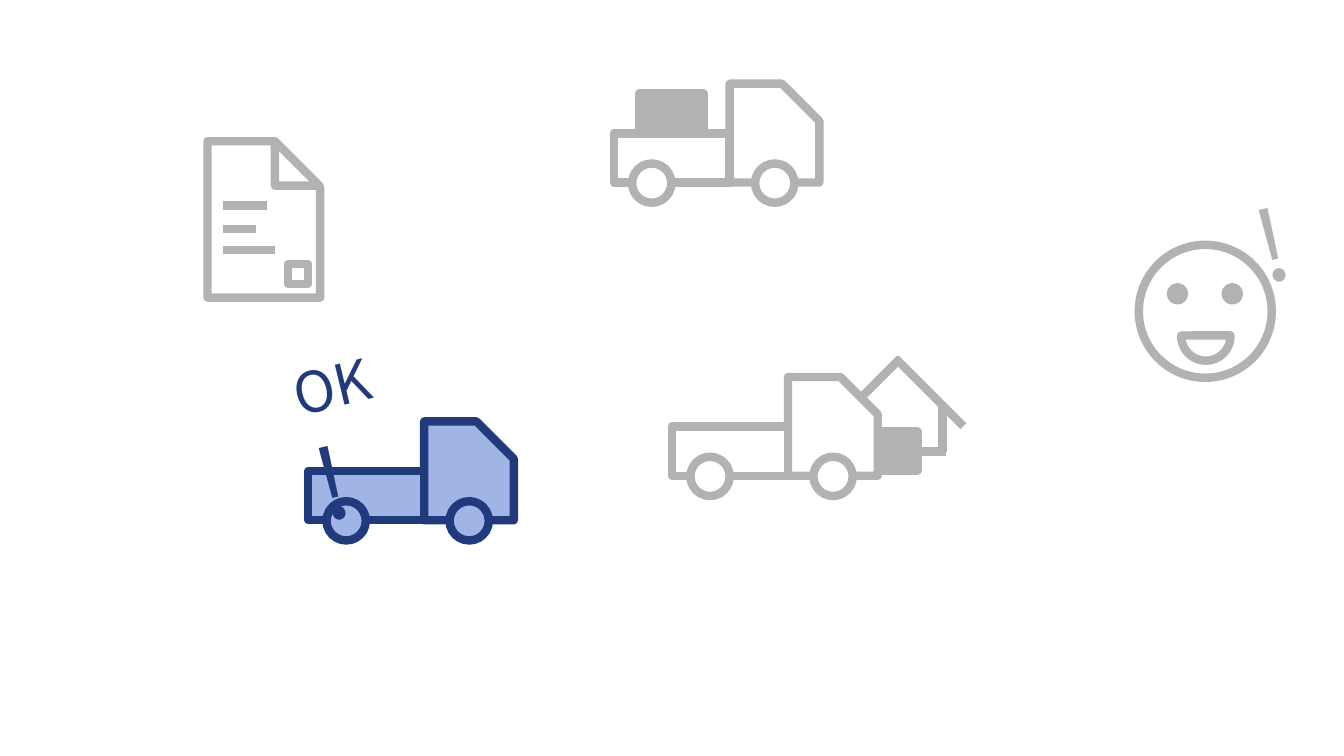
"""Build a slide of line icons: house, document, three trucks and a face."""
import pptx
import pptx.util
import pptx.dml.color
import pptx.enum.shapes
import pptx.enum.text
import pptx.oxml.ns
import lxml.etree

Cm = pptx.util.Cm
Pt = pptx.util.Pt
MSO_SHAPE = pptx.enum.shapes.MSO_SHAPE
GRAY = pptx.dml.color.RGBColor(0xB2, 0xB2, 0xB2)
WHITE = pptx.dml.color.RGBColor(0xFF, 0xFF, 0xFF)
NAVY = pptx.dml.color.RGBColor(0x20, 0x3A, 0x7B)
LIGHT_BLUE = pptx.dml.color.RGBColor(0xA0, 0xB4, 0xE6)
FONT = "Noto Sans CJK KR"
STROKE = Pt(6)

presentation = pptx.Presentation()
presentation.slide_width = Cm(33.87)
presentation.slide_height = Cm(19.05)
slide = presentation.slides.add_slide(presentation.slide_layouts[6])


def add_outline(kind, left, top, width, height, fill=WHITE, line=GRAY):
    shape = slide.shapes.add_shape(kind, Cm(left), Cm(top), Cm(width), Cm(height))
    shape.shadow.inherit = False
    shape.fill.solid()
    shape.fill.fore_color.rgb = fill
    shape.line.color.rgb = line
    shape.line.width = STROKE
    return shape


def add_stroke(x1, y1, x2, y2):
    connector = slide.shapes.add_connector(
        pptx.enum.shapes.MSO_CONNECTOR.STRAIGHT, Cm(x1), Cm(y1), Cm(x2), Cm(y2))
    connector.line.color.rgb = GRAY
    connector.line.width = STROKE
    lxml.etree.SubElement(connector.element.spPr, pptx.oxml.ns.qn("a:effectLst"))


house_strokes = [
    (22.68, 9.04, 20.98, 10.74),
    (22.58, 9.04, 24.28, 10.74),
    (23.75, 10.21, 23.75, 11.38),
    (23.85, 11.38, 21.41, 11.38),
]
for stroke in house_strokes:
    add_stroke(*stroke)
add_outline(MSO_SHAPE.RECTANGLE, 21.49, 10.87, 1.63, 0.99, GRAY)

page = add_outline(MSO_SHAPE.SNIP_1_RECTANGLE, 5.23, 3.56, 2.84, 3.94)
page.adjustments[0] = 0.417
add_outline(MSO_SHAPE.RIGHT_TRIANGLE, 6.93, 3.56, 1.12, 1.12)
for text_line_end, text_line_y in [(6.73, 5.18), (6.45, 5.77), (6.93, 6.3)]:
    add_stroke(5.61, text_line_y, text_line_end, text_line_y)
add_outline(MSO_SHAPE.RECTANGLE, 7.26, 6.65, 0.51, 0.51)

trucks = [
    (10.69, 10.62, LIGHT_BLUE, NAVY),
    (18.39, 2.11, WHITE, GRAY),
    (19.86, 9.5, WHITE, GRAY),
]
for cab_left, cab_top, fill, line in trucks:
    cab = add_outline(MSO_SHAPE.SNIP_1_RECTANGLE, cab_left, cab_top, 2.26, 2.49, fill, line)
    cab.adjustments[0] = 0.417
    add_outline(MSO_SHAPE.RECTANGLE, cab_left - 2.92, cab_top + 1.25, 2.92, 1.24, fill, line)
    for wheel_offset in (0.64, -2.46):
        add_outline(MSO_SHAPE.OVAL, cab_left + wheel_offset, cab_top + 2.01, 0.99, 0.99, fill, line)
add_outline(MSO_SHAPE.RECTANGLE, 16.1, 2.36, 1.63, 0.99, GRAY)

add_outline(MSO_SHAPE.OVAL, 28.7, 6.17, 3.35, 3.35)
for eye_left in (29.51, 30.89):
    add_outline(MSO_SHAPE.OVAL, eye_left, 7.24, 0.33, 0.33, GRAY)
mouth = add_outline(MSO_SHAPE.CHORD, 29.77, 7.85, 1.24, 1.24)
mouth.adjustments[0] = 214.92
mouth.adjustments[1] = 108.79

exclamations = [
    (7.29, 8.71, NAVY, [("OK", 40), ("!", 70)]),
    (31.39, 4.37, GRAY, [("!", 70)]),
]
for left, top, color, pieces in exclamations:
    text_box = slide.shapes.add_textbox(Cm(left), Cm(top), Cm(2.51), Cm(3.23))
    text_box.rotation = 346.4
    text_box.text_frame.word_wrap = True
    text_box.text_frame.auto_size = pptx.enum.text.MSO_AUTO_SIZE.SHAPE_TO_FIT_TEXT
    paragraph = text_box.text_frame.paragraphs[0]
    for text, size in pieces:
        run = paragraph.add_run()
        run.text = text
        run.font.size = Pt(size)
        run.font.name = FONT
        run.font.color.rgb = color

presentation.save("out.pptx")
